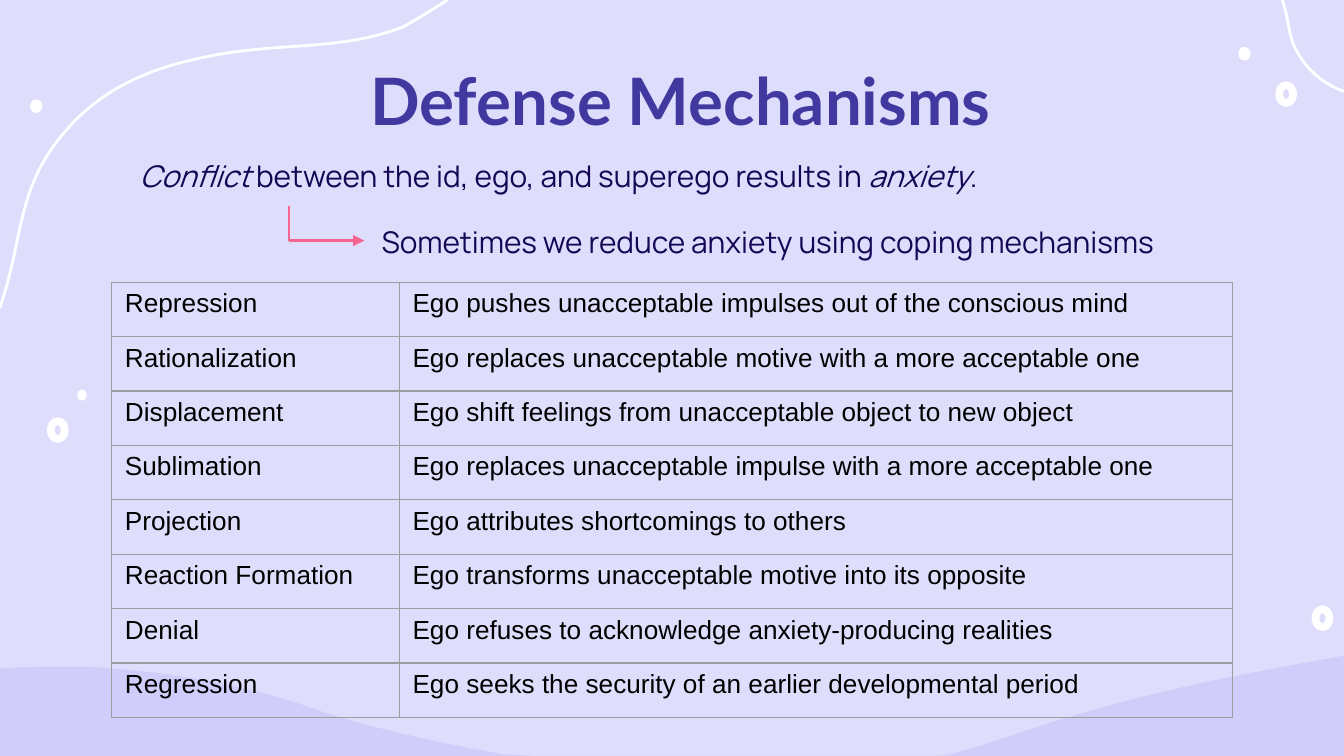
from lxml import etree
from pptx import Presentation
from pptx import util as u
from pptx.dml.color import RGBColor
from pptx.enum import shapes, text
from pptx.oxml import ns

WIDTH = 10
HEIGHT = WIDTH * 9 / 16
WHITE, INDIGO, NAVY, PINK, GREY = "FFFFFF", "4239A0", "140755", "F56590", "9E9E9E"


def color(value):
    return RGBColor.from_string(value)


def add_element(parent, tag, **attributes):
    return etree.SubElement(parent, ns.qn(tag), **attributes)


def trace(start, curves, steps=16):
    """Points along a chain of cubic curves, kept above the slide's bottom edge."""
    points = [start]
    for x1, y1, x2, y2, x3, y3 in curves:
        x0, y0 = points[-1]
        for step in range(1, steps + 1):
            t = step / steps
            s = 1 - t
            a, b, c, d = s ** 3, 3 * s * s * t, 3 * s * t * t, t ** 3
            points.append((a * x0 + b * x1 + c * x2 + d * x3,
                           a * y0 + b * y1 + c * y2 + d * y3))
    return [(x, min(y, HEIGHT)) for x, y in points]


class SlideBuilder:
    inset = 0.1
    body = dict(name="Manrope", size=u.Pt(16))

    def __init__(self, presentation, background):
        self.slide = presentation.slides.add_slide(presentation.slide_layouts[6])
        self.shapes = self.slide.shapes
        fill = self.slide.background.fill
        fill.solid()
        fill.fore_color.rgb = color(background)

    def paint(self, shape, fill=None, line=None, width=0.75, alpha=None):
        shape.shadow.inherit = False
        if fill:
            shape.fill.solid()
            shape.fill.fore_color.rgb = color(fill)
            if alpha:
                fill_color = shape.fill._xPr.find(ns.qn("a:solidFill"))[0]
                add_element(fill_color, "a:alpha", val=str(alpha * 1000))
        else:
            shape.fill.background()
        if line:
            shape.line.color.rgb = color(line)
            shape.line.width = u.Pt(width)
        else:
            shape.line.fill.background()

    def outline(self, points, close=False, **look):
        corners = [(u.Inches(x), u.Inches(y)) for x, y in points]
        builder = self.shapes.build_freeform(*corners[0])
        builder.add_line_segments(corners[1:], close=close)
        self.paint(builder.convert_to_shape(), **look)

    def bubble(self, kind, center_x, center_y, width, height):
        shape = self.shapes.add_shape(
            kind, u.Inches(center_x - width / 2), u.Inches(center_y - height / 2),
            u.Inches(width), u.Inches(height))
        if kind == shapes.MSO_SHAPE.DONUT:
            shape.adjustments[0] = 0.2
        self.paint(shape, fill=WHITE, line=WHITE, width=2.25)

    def format_run(self, run, font_color, font):
        run.font.color.rgb = color(font_color)
        for name, value in font.items():
            setattr(run.font, name, value)

    def text_box(self, left, top, width, height, runs, font_color, font,
                 anchor=text.MSO_ANCHOR.TOP, indent=0, **paragraph_format):
        box = self.shapes.add_textbox(*map(u.Inches, (left, top, width, height)))
        frame = box.text_frame
        frame.word_wrap = True
        frame.vertical_anchor = anchor
        for side in ("left", "top", "right", "bottom"):
            setattr(frame, f"margin_{side}", u.Inches(self.inset))
        paragraph = frame.paragraphs[0]
        if indent:
            paragraph._p.get_or_add_pPr().set("marL", str(u.Inches(indent)))
        for name, value in paragraph_format.items():
            setattr(paragraph, name, value)
        for words, italic in runs:
            run = paragraph.add_run()
            run.text = words
            self.format_run(run, font_color, {**font, "italic": italic})

    def body_text(self, left, top, width, runs):
        self.text_box(left, top, width, 0.49, runs, NAVY, self.body,
                      anchor=text.MSO_ANCHOR.BOTTOM, indent=0.15, line_spacing=1.15)

    def line(self, start, end, arrow=False):
        connector = self.shapes.add_connector(
            shapes.MSO_CONNECTOR.STRAIGHT, *map(u.Inches, start + end))
        connector.line.color.rgb = color(PINK)
        connector.line.width = u.Pt(1.5)
        if arrow:
            add_element(connector.line._get_or_add_ln(), "a:tailEnd", type="triangle")
        add_element(connector._element.spPr, "a:effectLst")

    def table(self, left, top, column_widths, height, rows, font):
        frame = self.shapes.add_table(
            len(rows), len(column_widths), u.Inches(left), u.Inches(top),
            u.Inches(sum(column_widths)), u.Inches(height))
        table = frame.table
        table.first_row = table.horz_banding = False
        for column, width in zip(table.columns, column_widths):
            column.width = u.Inches(width)
        for row, values in zip(table.rows, rows):
            row.height = u.Inches(height / len(rows))
            for cell, value in zip(row.cells, values):
                run = cell.text_frame.paragraphs[0].add_run()
                run.text = value
                self.format_run(run, "000000", font)
                self.border(cell)
                cell.fill.background()

    def border(self, cell):
        properties = cell._tc.get_or_add_tcPr()
        for side in "LRTB":
            edge = add_element(properties, f"a:ln{side}", w=str(u.Pt(0.75)))
            add_element(add_element(edge, "a:solidFill"), "a:srgbClr", val=GREY)


def main():
    presentation = Presentation()
    presentation.slide_width = u.Inches(WIDTH)
    presentation.slide_height = u.Inches(HEIGHT)
    builder = SlideBuilder(presentation, "DFDDFC")

    # Wave along the bottom
    wave = trace((10, 4.88), [
        (9.76, 4.92, 9.39, 4.99, 8.95, 5.08), (7.63, 5.37, 7.46, 5.55, 6.81, 5.67),
        (6.42, 5.75, 6, 5.78, 5.57, 5.78), (4.32, 5.78, 3.03, 5.5, 2.38, 5.29),
        (2.19, 5.22, 1.66, 5.04, 0.89, 4.98), (0.72, 4.96, 0.56, 4.96, 0.42, 4.96),
        (0.26, 4.96, 0.11, 4.97, 0, 4.97)])
    builder.outline(wave + [(0, HEIGHT), (WIDTH, HEIGHT)], close=True,
                    fill="C4BFFA", alpha=51)

    # Curved lines in the top corners
    right_curve = trace((9.54, 0), [
        (9.56, 0.05, 9.57, 0.1, 9.58, 0.15), (9.59, 0.21, 9.6, 0.26, 9.62, 0.32),
        (9.69, 0.49, 9.83, 0.62, 10, 0.68)])
    left_curve = trace((0, 2.29), [
        (0.05, 2.14, 0.09, 1.98, 0.12, 1.83), (0.17, 1.58, 0.23, 1.33, 0.37, 1.13),
        (0.53, 0.89, 0.74, 0.71, 1, 0.59), (1.15, 0.52, 1.31, 0.47, 1.5, 0.43),
        (1.72, 0.38, 1.96, 0.36, 2.27, 0.34), (2.54, 0.32, 2.77, 0.29, 3, 0.2),
        (3.11, 0.14, 3.22, 0.07, 3.33, 0)])
    for curve in (right_curve, left_curve):
        builder.outline(curve, line=WHITE, width=1.5)

    # Bubbles
    for center in ((0.43, 3.2), (9.84, 4.6), (9.57, 0.7)):
        builder.bubble(shapes.MSO_SHAPE.DONUT, *center, 0.13, 0.16)
    for x, y, width, height in ((9.26, 0.4, 0.06, 0.07), (0.27, 0.79, 0.06, 0.07),
                                (0.61, 2.94, 0.04, 0.05)):
        builder.bubble(shapes.MSO_SHAPE.OVAL, x, y, width, height)

    # Title and statements
    builder.text_box(0.85, 0.35, 8.43, 0.63, [("Defense Mechanisms", False)], INDIGO,
                     dict(name="Lato", size=u.Pt(35), bold=True),
                     alignment=text.PP_ALIGN.CENTER)
    builder.body_text(0.79, 1.05, 8.43, [
        ("Conflict", True), (" between the id, ego, and superego results in ", False),
        ("anxiety", True), (".", False)])
    builder.body_text(2.59, 1.54, 7.41, [
        ("Sometimes we reduce anxiety using coping mechanisms", False)])

    # Bent arrow between the statements
    corner = (2.15, 1.79)
    builder.line((2.15, 1.53), corner)
    builder.line(corner, (2.71, 1.79), arrow=True)

    # Table of mechanisms
    mechanisms = [
        ("Repression", "Ego pushes unacceptable impulses out of the conscious mind"),
        ("Rationalization", "Ego replaces unacceptable motive with a more acceptable one"),
        ("Displacement", "Ego shift feelings from unacceptable object to new object"),
        ("Sublimation", "Ego replaces unacceptable impulse with a more acceptable one"),
        ("Projection", "Ego attributes shortcomings to others"),
        ("Reaction Formation", "Ego transforms unacceptable motive into its opposite"),
        ("Denial", "Ego refuses to acknowledge anxiety-producing realities"),
        ("Regression", "Ego seeks the security of an earlier developmental period"),
    ]
    builder.table(0.83, 2.1, (2.14, 6.2), 3.24, mechanisms,
                  dict(name="Arial", size=u.Pt(14)))

    presentation.save("out.pptx")


if __name__ == "__main__":
    main()
